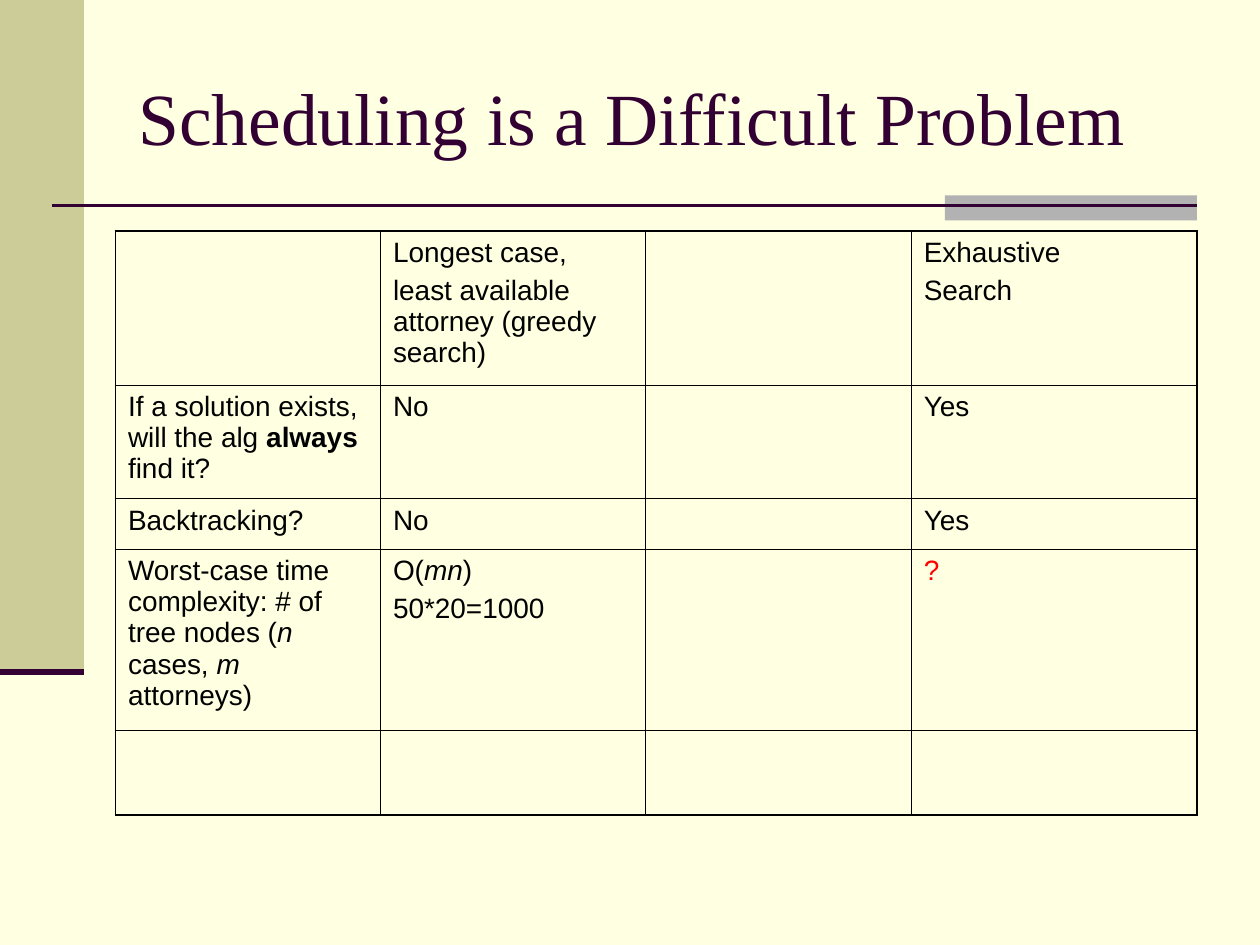
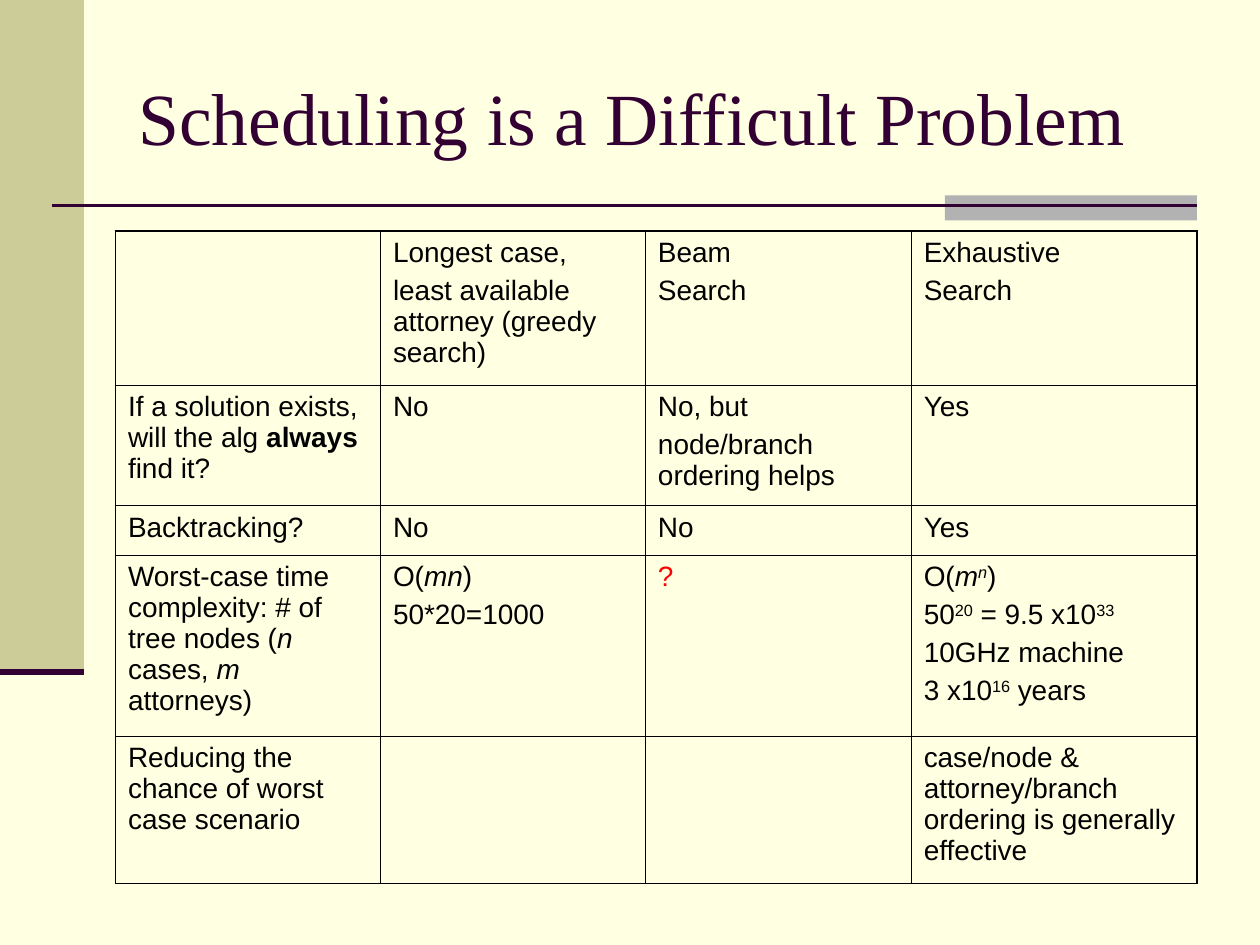
"""Build two slides comparing scheduling searches in a growing table."""
from lxml import etree
from pptx import Presentation
from pptx import util as u
from pptx.dml import color
from pptx.enum import shapes, text
from pptx.oxml import ns

Pt = u.Pt
CREAM, OLIVE, GRAY = "FFFFE1", "CCCC99", "B2B2B2"
PLUM, BLACK, RED = "330033", "000000", "FF0000"
THIN, THICK = 0.45, 1.08
TITLE = "Scheduling is a Difficult Problem"

BANDS = [(0, 0, 48, 384, OLIVE), (540, 111.6, 144, 14.4, GRAY)]
RULES = [(30, 117.4, 684, 1.5), (0, 384, 48, 3.5)]
COLS = [151.4, 151.4, 151.9, 163.3]

# Lines of a cell split at "/n"; "|" parts runs; * bold, _ italic, ^ raised.
FIRST = {
    (0, 1): "Longest case,\nleast available attorney (greedy search)",
    (0, 3): "Exhaustive\nSearch",
    (1, 0): "If a solution exists, will the alg |*always| find it?",
    (1, 1): "No",
    (1, 3): "Yes",
    (2, 0): "Backtracking?",
    (2, 1): "No",
    (2, 3): "Yes",
    (3, 0): "Worst-case time complexity: # of tree nodes (|_n| cases, |_m| attorneys)",
    (3, 1): "O(|_mn|)\n50*20=1000",
    (3, 3): "?",
}
SECOND = FIRST | {
    (0, 2): "Beam\nSearch",
    (1, 2): "No, but\nnode/branch ordering helps",
    (2, 2): "No",
    (3, 2): "?",
    (3, 3): "O(|_m|^_n|)\n50|^20| = 9.5 x10|^33\n10GHz machine\n3 x10|^16| years",
    (4, 0): "Reducing the chance of worst case scenario",
    (4, 3): "case/node & attorney/branch ordering is generally effective",
}
SLIDES = [
    (FIRST, [88, 65, 28.8, 103.6, 48.4]),
    (SECOND, [88, 69, 28.1, 103.6, 84.3]),
]


def rgb(code):
    return color.RGBColor.from_string(code)


def edge(cell, side, width):
    line = etree.SubElement(cell._tc.get_or_add_tcPr(), ns.qn("a:ln" + side), w=str(Pt(width)))
    fill = etree.SubElement(line, ns.qn("a:solidFill"))
    etree.SubElement(fill, ns.qn("a:srgbClr"), val=BLACK)


deck = Presentation()
deck.slide_width, deck.slide_height = Pt(720), Pt(540)

for words, rows in SLIDES:
    slide = deck.slides.add_slide(deck.slide_layouts[6])
    slide.background.fill.solid()
    slide.background.fill.fore_color.rgb = rgb(CREAM)

    for left, top, width, height, tint in BANDS:
        band = slide.shapes.add_shape(
            shapes.MSO_SHAPE.RECTANGLE, Pt(left), Pt(top), Pt(width), Pt(height))
        band.shadow.inherit = False
        band.fill.solid()
        band.fill.fore_color.rgb = rgb(tint)
        band.line.fill.background()

    for left, top, right, weight in RULES:
        rule = slide.shapes.add_connector(
            shapes.MSO_CONNECTOR.STRAIGHT, Pt(left), Pt(top), Pt(right), Pt(top))
        rule.line.color.rgb = rgb(PLUM)
        rule.line.width = Pt(weight)
        etree.SubElement(rule._element.spPr, ns.qn("a:effectLst"))

    title = slide.shapes.add_textbox(Pt(72), Pt(21.6), Pt(612), Pt(90))
    frame = title.text_frame
    frame.word_wrap = True
    frame.vertical_anchor = text.MSO_ANCHOR.MIDDLE
    frame.text = TITLE
    font = frame.paragraphs[0].runs[0].font
    font.name, font.size = "Times New Roman", Pt(42)
    font.color.rgb = rgb(PLUM)

    grid = slide.shapes.add_table(
        len(rows), len(COLS), Pt(66), Pt(132), Pt(sum(COLS)), Pt(sum(rows))).table
    grid.first_row = grid.horz_banding = False
    for col, width in zip(grid.columns, COLS):
        col.width = Pt(width)
    for r, height in enumerate(rows):
        grid.rows[r].height = Pt(height)
        for c in range(len(COLS)):
            cell = grid.cell(r, c)
            outer = {"L": c == 0, "R": c == len(COLS) - 1,
                     "T": r == 0, "B": r == len(rows) - 1}
            for side, thick in outer.items():
                edge(cell, side, THICK if thick else THIN)
            cell.fill.background()
            if (r, c) not in words:
                continue
            frame = cell.text_frame
            for n, line in enumerate(words[r, c].split("\n")):
                para = frame.add_paragraph() if n else frame.paragraphs[0]
                para.space_before = Pt(4 if n else 0)
                for part in line.split("|"):
                    run = para.add_run()
                    run.text = part.lstrip("*_^")
                    marks = part[:len(part) - len(run.text)]
                    font = run.font
                    font.name, font.size = "Arial", Pt(16)
                    font.bold, font.italic = "*" in marks, "_" in marks
                    font.color.rgb = rgb(RED if part == "?" else BLACK)
                    if "^" in marks:
                        font._element.set("baseline", "30000")

deck.save("out.pptx")
